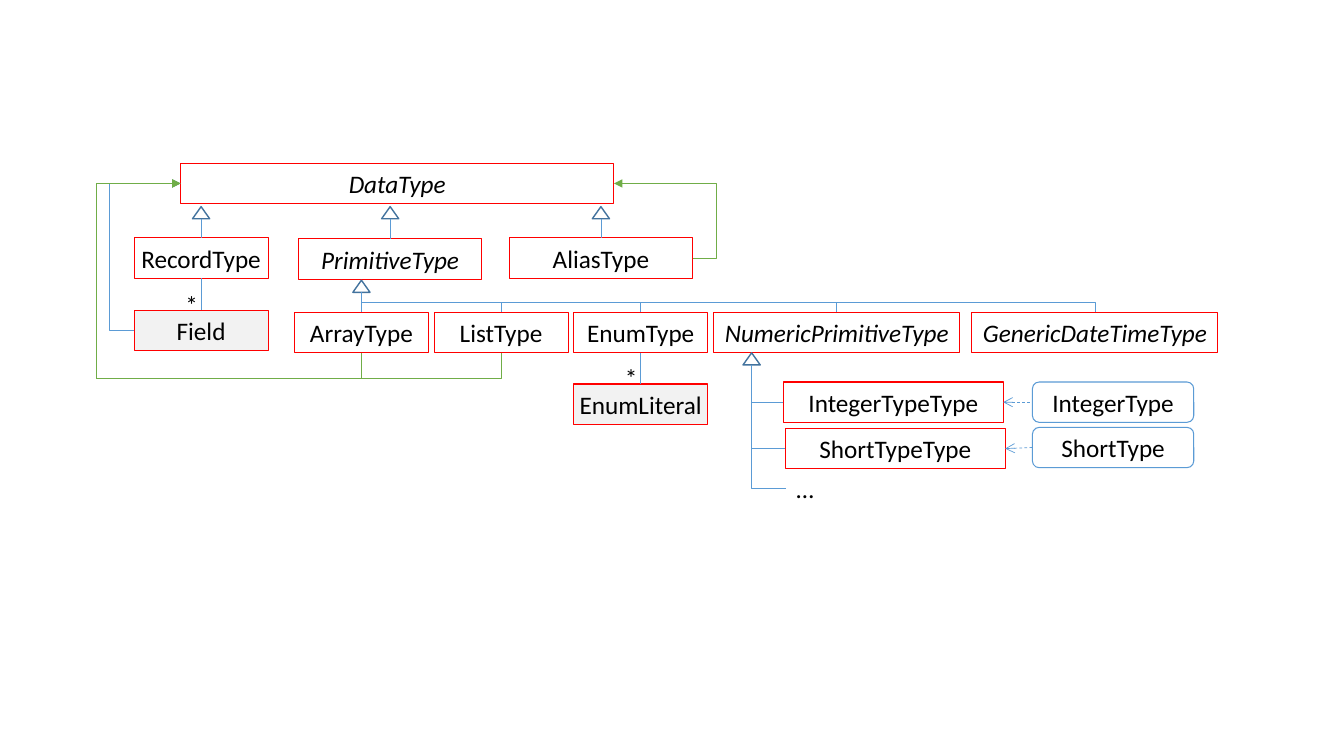
from lxml.etree import SubElement
from pptx import Presentation
from pptx.dml.color import RGBColor
from pptx.enum.dml import MSO_LINE
from pptx.enum.shapes import MSO_CONNECTOR as LINK, MSO_SHAPE as SHAPE
from pptx.enum.text import MSO_ANCHOR, MSO_AUTO_SIZE, PP_ALIGN
from pptx.oxml.ns import qn
from pptx.util import Pt

EMU_PER_PX = 9144
BOX_HEIGHT = 40
NARROW, MEDIUM, WIDE = 133, 182, 244
RED, BLUE, GREEN, NAVY = "FF0000", "5B9BD5", "70AD47", "43739E"
WHITE, GREY, BLACK = "FFFFFF", "F2F2F2", "000000"
SITES = {"top": (0, 0.5, 0), "left": (1, 0, 0.5), "bottom": (2, 0.5, 1),
         "right": (3, 1, 0.5), "base": (3, 0.5, 1)}
HEADINGS = {"right": 0, "down": 90, "left": 180}


def px(length):
    """Turn px into EMU."""
    return int(length * EMU_PER_PX)


def rgb(value):
    """Turn a hex string into a colour."""
    return RGBColor.from_string(value)


def write(shape, words, italic=False):
    """Put one line of diagram text into a shape."""
    frame = shape.text_frame
    frame.text = words
    frame.word_wrap = False
    font = frame.paragraphs[0].runs[0].font
    font.name, font.size, font.italic = "Calibri", Pt(18), italic
    font.color.rgb = rgb(BLACK)
    return frame


def outline(slide, kind, left, top, width, height, fill, line, weight):
    """Add a filled and outlined shape."""
    shape = slide.shapes.add_shape(kind, px(left), px(top), px(width), px(height))
    shape.shadow.inherit = False
    shape.fill.solid()
    shape.fill.fore_color.rgb = rgb(fill)
    shape.line.color.rgb = rgb(line)
    shape.line.width = Pt(weight)
    return shape


def type_box(slide, name, left, top, width, italic=False, fill=WHITE,
             line=RED, kind=SHAPE.RECTANGLE):
    """Add a box that names one type."""
    box = outline(slide, kind, left, top, width, BOX_HEIGHT, fill, line, 0.75)
    frame = write(box, name, italic)
    frame.vertical_anchor = MSO_ANCHOR.MIDDLE
    frame.paragraphs[0].alignment = PP_ALIGN.CENTER
    return box


def inherit_mark(slide, center, top):
    """Add the triangle that marks inheritance."""
    return outline(slide, SHAPE.ISOSCELES_TRIANGLE, center - 8.5, top, 17, 12,
                   WHITE, NAVY, 1)


def label(slide, words, left, top, width):
    """Add a free label."""
    note = slide.shapes.add_textbox(px(left), px(top), px(width), px(BOX_HEIGHT))
    write(note, words).auto_size = MSO_AUTO_SIZE.SHAPE_TO_FIT_TEXT
    return note


def site_point(shape, side):
    """Locate a connection site."""
    _, across, down = SITES[side]
    return (shape.left + int(shape.width * across),
            shape.top + int(shape.height * down))


def join(slide, source, source_side, target, target_side, color=BLUE,
         heading=None, bends=(), head=None, tail=None, dashed=False):
    """Join two shapes, straight or leaving by a heading with bends in px."""
    start, end = site_point(source, source_side), site_point(target, target_side)
    link = slide.shapes.add_connector(LINK.ELBOW if heading else LINK.STRAIGHT,
                                      *start, *end)
    link.begin_connect(source, SITES[source_side][0])
    link.end_connect(target, SITES[target_side][0])
    route(link, start, end, heading, bends)
    link.line.color.rgb = rgb(color)
    link.line.width = Pt(0.5)
    if dashed:
        link.line.dash_style = MSO_LINE.DASH
    properties = link.element.spPr
    stroke = properties.find(qn("a:ln"))
    for tag, arrow in (("a:headEnd", head), ("a:tailEnd", tail)):
        if arrow:
            SubElement(stroke, qn(tag)).set("type", arrow)
    SubElement(properties, qn("a:effectLst"))


def route(link, start, end, heading, bends):
    """Set the frame, turn and bends of a connector."""
    turn = HEADINGS.get(heading, 0)
    dx, dy = end[0] - start[0], end[1] - start[1]
    along, across = {0: (dx, dy), 90: (dy, -dx), 180: (-dx, -dy)}[turn]
    link.width, link.height = abs(along), abs(across)
    link.left = (start[0] + end[0] - abs(along)) // 2
    link.top = (start[1] + end[1] - abs(across)) // 2
    frame = link.element.spPr.find(qn("a:xfrm"))
    frame.set("rot", str(turn * 60000))
    frame.set("flipH", str(int(along < 0)))
    frame.set("flipV", str(int(across < 0)))
    if heading:
        geometry = link.element.spPr.find(qn("a:prstGeom"))
        geometry.set("prst", f"bentConnector{len(bends) + 2}")
        guides = geometry.find(qn("a:avLst"))
        first_axis = int(turn == 90)
        for index, bend in enumerate(bends):
            axis = (first_axis + index) % 2
            share = (px(bend) - start[axis]) / (end[axis] - start[axis])
            guide = SubElement(guides, qn("a:gd"))
            guide.set("name", f"adj{index + 1}" if len(bends) > 1 else "adj1")
            guide.set("fmla", f"val {round(share * 100000)}")


def draw_data_types(slide, left, top):
    """Draw DataType with its direct subtypes and the record field."""
    data = type_box(slide, "DataType", left + 46, top, 430, italic=True)
    record = type_box(slide, "RecordType", left, top + 74, NARROW)
    primitive = type_box(slide, "PrimitiveType", left + 163, top + 75, MEDIUM, italic=True)
    alias = type_box(slide, "AliasType", left + 372, top + 74, MEDIUM)
    for subtype, center in ((record, 66.5), (primitive, 254), (alias, 463)):
        mark = inherit_mark(slide, left + center, top + 43)
        join(slide, mark, "base", subtype, "top")
    field = type_box(slide, "Field", left, top + 146, NARROW, fill=GREY)
    join(slide, record, "bottom", field, "top")
    label(slide, "*", left + 41, top + 120, 33)
    join(slide, field, "left", data, "left", heading="left",
         bends=(left - 25,), tail="triangle")
    join(slide, alias, "right", data, "right", GREEN, "right",
         (left + 578,), tail="triangle")
    return data


def draw_primitive_types(slide, left, top, data):
    """Draw the row of primitive types and their links back to DataType."""
    step = 138.5
    array, listing, enum = (
        type_box(slide, name, left + step * column, top, NARROW)
        for column, name in enumerate(("ArrayType", "ListType", "EnumType")))
    numeric = type_box(slide, "NumericPrimitiveType", left + 416, top, WIDE, italic=True)
    date_time = type_box(slide, "GenericDateTimeType", left + 672, top, WIDE, italic=True)
    mark = inherit_mark(slide, left + 66.5, top - 32)
    join(slide, mark, "base", array, "top")
    for subtype in (listing, enum, numeric, date_time):
        join(slide, mark, "base", subtype, "top", heading="down", bends=(top - 10,))
    for holder in (array, listing):
        join(slide, holder, "bottom", data, "left", GREEN, "down",
             (top + 65, left - 196), tail="triangle")
    literal = type_box(slide, "EnumLiteral", left + 2 * step, top + 71, NARROW, fill=GREY)
    join(slide, enum, "bottom", literal, "top")
    label(slide, "*", left + 318, top + 45, 33)


def draw_numeric_types(slide, left, top):
    """Draw the numeric subtypes beside the types they describe."""
    mark = inherit_mark(slide, left + 8.5, top)
    rows = (("Integer", 40, 29, 29), ("Short", 42, 75, 74))
    for name, indent, meta_top, value_top in rows:
        meta = type_box(slide, f"{name}TypeType", left + indent, top + meta_top, 218)
        value = type_box(slide, f"{name}Type", left + 287, top + value_top, 160,
                         line=BLUE, kind=SHAPE.ROUNDED_RECTANGLE)
        join(slide, mark, "base", meta, "left", heading="down")
        join(slide, meta, "right", value, "left", head="arrow", dashed=True)
    more = label(slide, "…", left + 43, top + 115, 38)
    join(slide, mark, "base", more, "left", heading="down")


def main():
    """Build the type hierarchy slide."""
    deck = Presentation()
    deck.slide_width, deck.slide_height = px(1333), px(750)
    slide = deck.slides.add_slide(deck.slide_layouts[6])
    data = draw_data_types(slide, 133, 162)
    draw_primitive_types(slide, 292, 310, data)
    draw_numeric_types(slide, 737, 350)
    deck.save("out.pptx")


if __name__ == "__main__":
    main()
